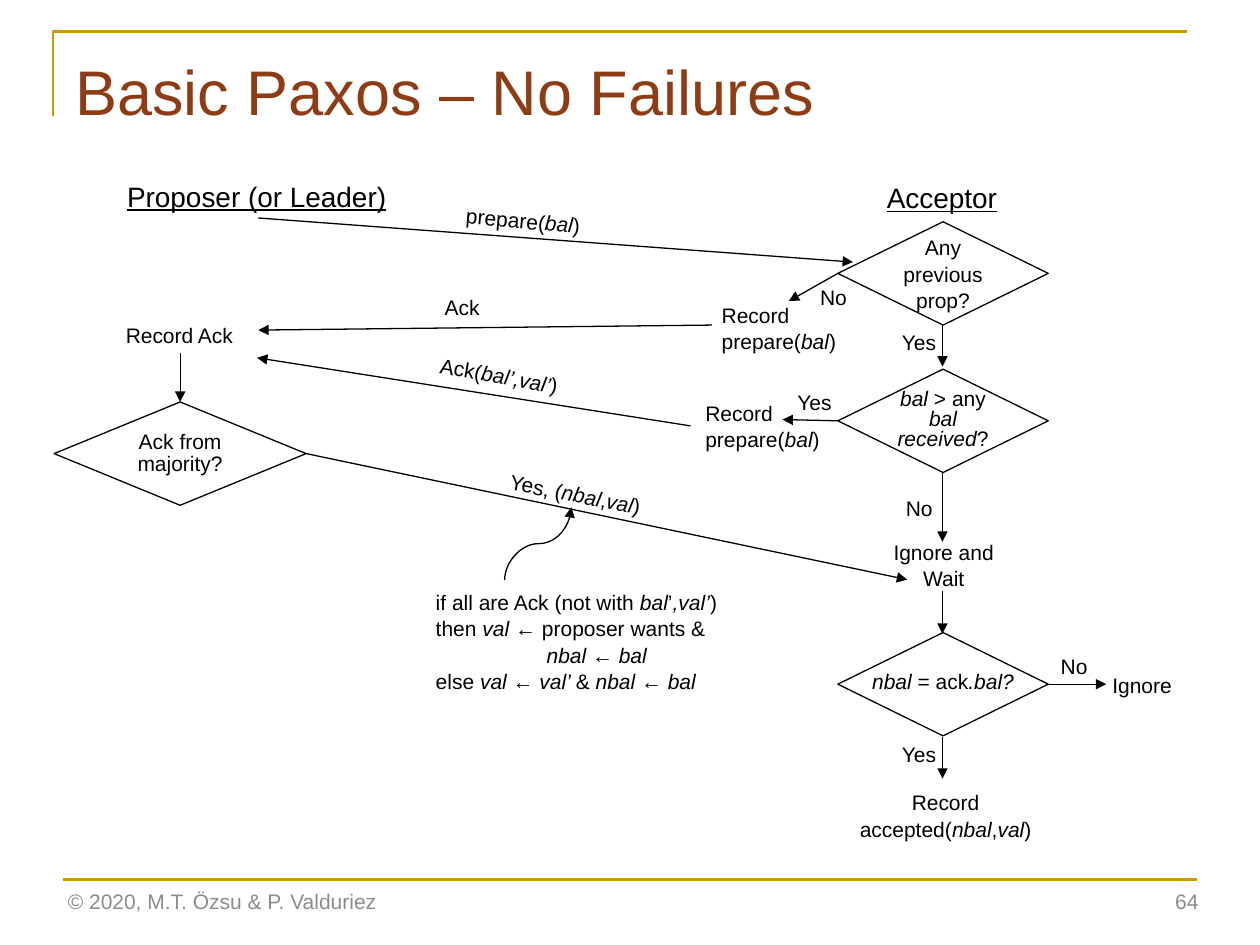
from dataclasses import dataclass

from lxml import etree
from pptx import Presentation
from pptx import util as u
from pptx.dml import color
from pptx.enum import shapes, text
from pptx.oxml import ns


@dataclass(frozen=True)
class Theme:
    font: str = "Arial"
    ink: str = "000000"
    title: str = "8D3C15"
    muted: str = "8C8C8C"
    gold: str = "CC9900"
    title_size: int = 36
    heading_size: int = 16
    body_size: int = 12
    thin: float = 0.75
    rule: float = 1.5
    spacing: float = 1.05


THEME = Theme()
CENTER = text.PP_ALIGN.CENTER
MIDDLE = text.MSO_ANCHOR.MIDDLE
ACCEPTOR_X = 7.48
DIAMOND_LEFT, DIAMOND_WIDTH, DIAMOND_HEIGHT = 6.65, 1.67, 0.82


def rgb(value):
    return color.RGBColor.from_string(value)


def set_attributes(target, values):
    for name, value in values.items():
        setattr(target, name, value)


def fill_text(shape, content, size=THEME.body_size, ink=THEME.ink, align=None,
              spacing=THEME.spacing, underline=None, indents=None, **frame_values):
    frame = shape.text_frame
    set_attributes(frame, frame_values)
    for index, line in enumerate(content.split("\n")):
        paragraph = frame.paragraphs[0] if index == 0 else frame.add_paragraph()
        set_attributes(paragraph, {"alignment": align, "line_spacing": spacing})
        if indents and index in indents:
            paragraph._p.get_or_add_pPr().set("marL", str(u.Inches(indents[index])))
        for part, words in enumerate(line.split("*")):
            if words:
                run = paragraph.add_run()
                run.text = words
                set_attributes(run.font, {
                    "name": THEME.font, "size": u.Pt(size),
                    "italic": part % 2 == 1, "underline": underline,
                })
                run.font.color.rgb = rgb(ink)


def add_label(slide, content, box, rotation=0, word_wrap=False, **formats):
    shape = slide.shapes.add_textbox(*map(u.Inches, box))
    shape.rotation = rotation
    fill_text(shape, content, word_wrap=word_wrap, **formats)


def set_line(shape, ink=THEME.ink, width=THEME.thin):
    shape.line.color.rgb = rgb(ink)
    shape.line.width = u.Pt(width)


def add_line(slide, start, end, ink=THEME.ink, width=THEME.thin, arrow=True,
             kind=shapes.MSO_CONNECTOR.STRAIGHT):
    line = slide.shapes.add_connector(kind, *map(u.Inches, (*start, *end)))
    set_line(line, ink, width)
    if arrow:
        etree.SubElement(line.line._get_or_add_ln(), ns.qn("a:tailEnd"), type="triangle")
    etree.SubElement(line._element.spPr, ns.qn("a:effectLst"))
    return line


def add_turned_curve(slide, left, top, width, height):
    curve = add_line(slide, (left + width, top + height), (left, top),
                     kind=shapes.MSO_CONNECTOR.CURVE)
    curve._element.spPr.find(ns.qn("a:xfrm")).set("rot", str(90 * 60000))


def add_diamond(slide, content, box, spacing, side_margin=0.0, word_wrap=True):
    diamond = slide.shapes.add_shape(shapes.MSO_SHAPE.DIAMOND, *map(u.Inches, box))
    diamond.shadow.inherit = False
    diamond.fill.background()
    set_line(diamond)
    margin = u.Inches(side_margin)
    fill_text(diamond, content, align=CENTER, spacing=spacing, word_wrap=word_wrap,
              vertical_anchor=MIDDLE, margin_left=margin, margin_right=margin)


def add_frame(slide):
    points = [(u.Inches(x), u.Inches(y)) for x, y in ((0.42, 0.92), (0.42, 0.25), (9.42, 0.25))]
    builder = slide.shapes.build_freeform(*points[0], scale=1.0)
    builder.add_line_segments(points[1:], close=False)
    corner = builder.convert_to_shape()
    corner.shadow.inherit = False
    corner.fill.background()
    set_line(corner, THEME.gold, THEME.rule)
    add_line(slide, (0.5, 6.98), (9.5, 6.98), THEME.gold, THEME.rule, arrow=False)
    add_label(slide, "Basic Paxos – No Failures", (0.5, 0.34, 9, 1.25), word_wrap=True,
              size=THEME.title_size, ink=THEME.title)
    footer = {"ink": THEME.muted, "vertical_anchor": MIDDLE, "word_wrap": True}
    add_label(slide, "© 2020, M.T. Özsu & P. Valduriez", (0.44, 6.95, 3.38, 0.4), **footer)
    add_label(slide, "64", (7.36, 6.95, 2.25, 0.4), align=text.PP_ALIGN.RIGHT, **footer)


def add_decisions(slide):
    add_diamond(slide, "Ack from majority?", (0.43, 3.19, 2, DIAMOND_HEIGHT),
                u.Pt(12.8), side_margin=0.1)
    for content, top, spacing, wrap in (
        ("Any previous prop?", 1.76, THEME.spacing, True),
        ("*bal* > any *bal received*?", 2.93, u.Pt(11.4), True),
        ("*nbal* = ack*.bal?*", 5.02, u.Pt(11.4), False),
    ):
        box = (DIAMOND_LEFT, top, DIAMOND_WIDTH, DIAMOND_HEIGHT)
        add_diamond(slide, content, box, spacing, word_wrap=wrap)


def add_arrows(slide):
    for start, end in (
        ((2.05, 1.73), (6.77, 2.08)),
        ((5.65, 2.58), (2.05, 2.62)),
        ((5.48, 3.38), (2.04, 2.84)),
        ((2.43, 3.6), (7.2, 4.6)),
        ((1.43, 2.8), (1.43, 3.19)),
        ((6.65, 2.17), (6.26, 2.39)),
        ((6.65, 3.34), (6.21, 3.33)),
        ((8.32, 5.43), (8.78, 5.43)),
    ):
        add_line(slide, start, end)
    for top, bottom in ((2.58, 2.91), (3.75, 4.3), (4.69, 5.03), (5.85, 6.18)):
        add_line(slide, (ACCEPTOR_X, top), (ACCEPTOR_X, bottom))
    add_turned_curve(slide, 3.98, 4.05, 0.58, 0.53)


def add_labels(slide):
    for content, box in (
        ("Proposer (or Leader)", (0.91, 1.36, 2.29, 0.37)),
        ("Acceptor", (6.94, 1.37, 1.09, 0.37)),
    ):
        add_label(slide, content, box, size=THEME.heading_size, underline=True)
    for content, box, rotation in (
        ("prepare(*bal*)", (3.6, 1.6, 1.28, 0.3), 5),
        ("Ack", (3.43, 2.28, 0.58, 0.3), 0),
        ("Ack(*bal’,val’*)", (3.39, 2.84, 1.35, 0.3), 10),
        ("Yes, (*nbal*,*val*)", (3.94, 3.81, 1.76, 0.3), 11),
    ):
        add_label(slide, content, box, rotation, word_wrap=True)
    for left, top in ((6.23, 3.03), (7.06, 2.56), (7.06, 5.83)):
        add_label(slide, "Yes", (left, top, 0.48, 0.3))
    for left, top in ((7.09, 3.87), (6.41, 2.2), (8.32, 5.13)):
        add_label(slide, "No", (left, top, 0.42, 0.3))
    for left, top in ((5.63, 2.34), (5.5, 3.12)):
        add_label(slide, "Record\nprepare(*bal*)", (left, top, 1.13, 0.5))
    add_label(slide, "Record Ack", (0.9, 2.5, 1.06, 0.3))
    add_label(slide, "Ignore", (8.73, 5.28, 0.68, 0.3))
    add_label(slide, "Ignore and\nWait", (6.99, 4.22, 1, 0.5), align=CENTER)
    add_label(slide, "Record\naccepted(*nbal*,*val*)", (6.71, 6.21, 1.59, 0.5), align=CENTER)
    rules = (
        "if all are Ack (not with *bal*’*,val’*)\n"
        "then *val ← *proposer wants &\n"
        "*nbal ← bal*\n"
        "else *val ← val’ *& *nbal ← bal*"
    )
    add_label(slide, rules, (3.36, 4.62, 2.45, 0.91), indents={2: 0.88})


def main():
    presentation = Presentation()
    set_attributes(presentation, {"slide_width": u.Inches(10), "slide_height": u.Inches(7.5)})
    slide = presentation.slides.add_slide(presentation.slide_layouts[6])
    add_frame(slide)
    add_decisions(slide)
    add_arrows(slide)
    add_labels(slide)
    presentation.save("out.pptx")


main()
